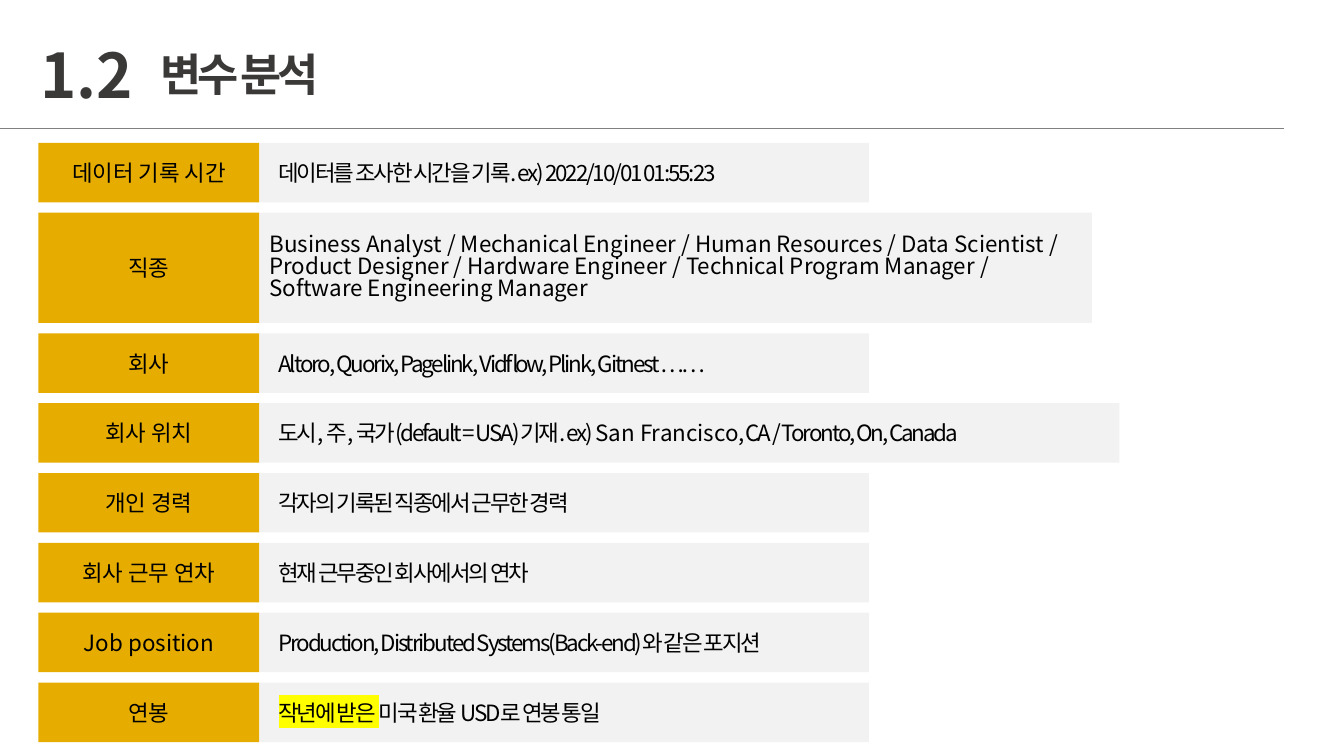
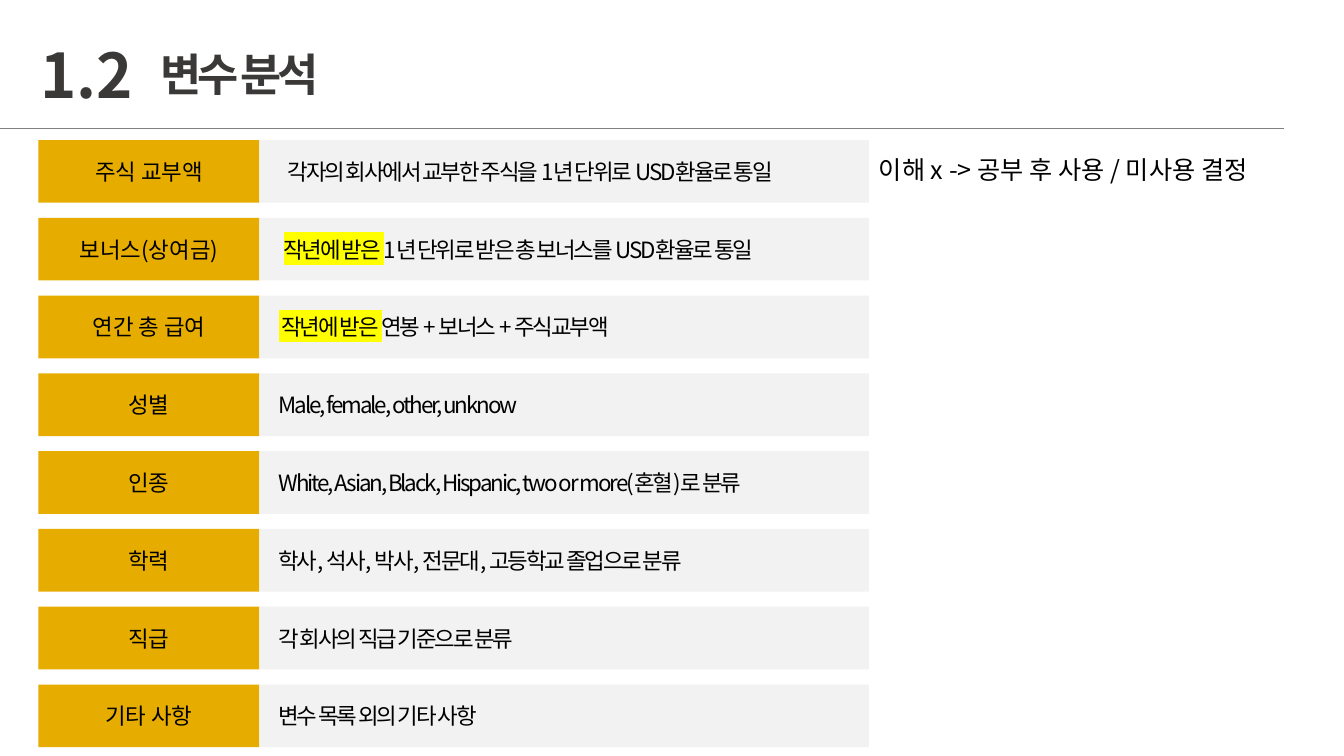
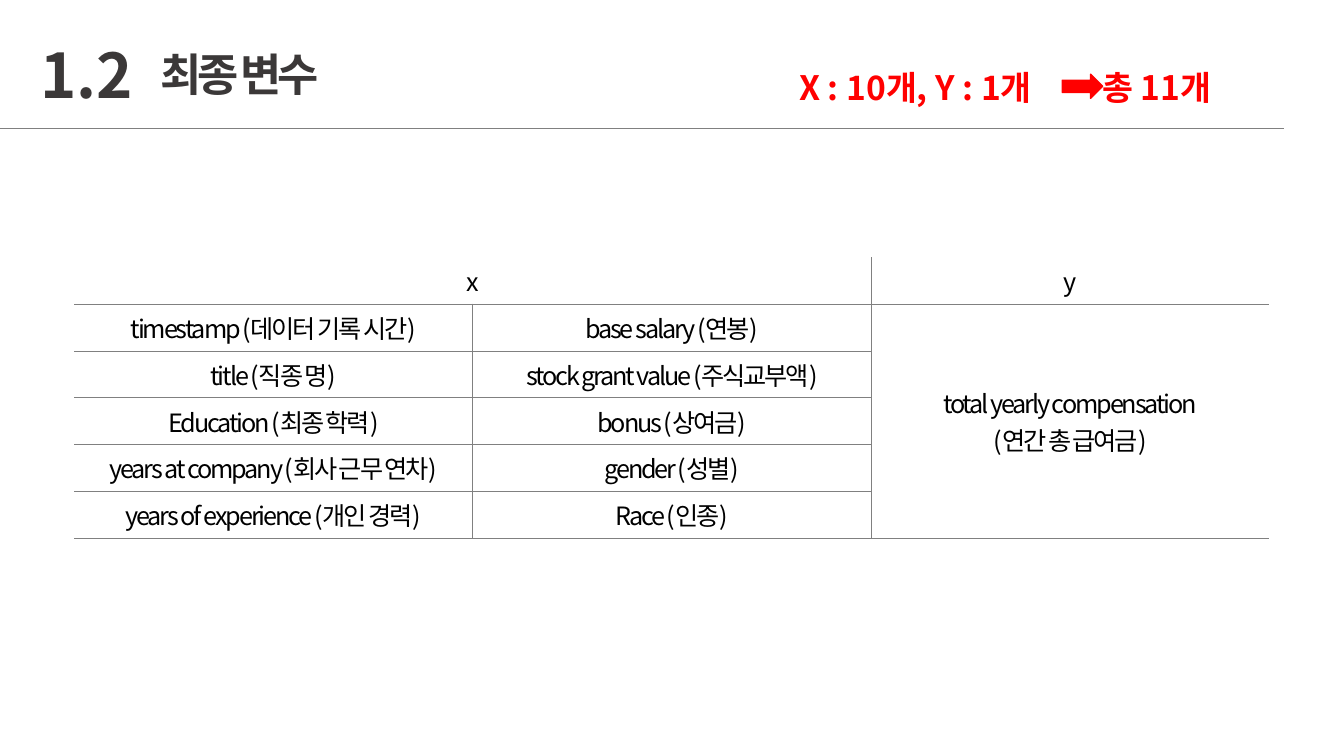
from lxml.etree import SubElement
from pptx import Presentation
from pptx.dml.color import RGBColor
from pptx.enum.shapes import MSO_CONNECTOR, MSO_SHAPE
from pptx.enum.text import MSO_ANCHOR, MSO_AUTO_SIZE, PP_ALIGN
from pptx.oxml.ns import qn
from pptx.util import Cm, Pt

FONT = "Noto Sans CJK KR"
COLORS = {
    "label": "E6AD00",
    "value": "F2F2F2",
    "text": "000000",
    "title": "3B3838",
    "rule": "808080",
    "accent": "FF0000",
    "marker": "FFFF00",
    "cell": "FFFFFF",
}
TIGHT = -1.5
LABEL_W, VALUE_W = 5.57, 15.36


def rgb(name):
    return RGBColor.from_string(COLORS[name])


# Text: each paragraph is a string or a list of (text, overrides) runs
def write(tf, *paras, size=16, color="text", bold=False, spacing=0, mark=None,
          align=PP_ALIGN.LEFT, anchor=MSO_ANCHOR.MIDDLE, line=None):
    tf.word_wrap = True
    tf.vertical_anchor = anchor
    for i, para in enumerate(paras):
        p = tf.paragraphs[0] if i == 0 else tf.add_paragraph()
        p.alignment = align
        if line:
            p.line_spacing = line
        for text, own in [(para, {})] if isinstance(para, str) else para:
            r = p.add_run()
            r.text = text
            r.font.size = Pt(size)
            r.font.bold = bold
            r.font.color.rgb = rgb(color)
            rPr = r._r.get_or_add_rPr()
            rPr.set("spc", str(int(own.get("spacing", spacing) * 100)))
            marker = own.get("mark", mark)
            if marker:
                hl = SubElement(rPr, qn("a:highlight"))
                SubElement(hl, qn("a:srgbClr"), val=COLORS[marker])
            r.font.name = FONT
            SubElement(rPr, qn("a:ea"), typeface=FONT)


def add_text(s, x, y, w, h, text, **fmt):
    tf = s.shapes.add_textbox(Cm(x), Cm(y), Cm(w), Cm(h)).text_frame
    write(tf, text, **fmt)


def add_block(s, x, y, w, h, fill, kind=MSO_SHAPE.RECTANGLE):
    sp = s.shapes.add_shape(kind, Cm(x), Cm(y), Cm(w), Cm(h))
    sp.shadow.inherit = False
    sp.fill.solid()
    sp.fill.fore_color.rgb = rgb(fill)
    sp.line.fill.background()
    return sp


# Header shared by all slides: number, title and rule
def add_header(prs, title):
    s = prs.slides.add_slide(prs.slide_layouts[5])
    sp = s.shapes.title
    sp.left, sp.top, sp.width, sp.height = Cm(3.78), Cm(1.04), Cm(16.15), Cm(1.63)
    sp.text_frame.auto_size = MSO_AUTO_SIZE.NONE
    write(sp.text_frame, title, size=32, color="title", bold=True, spacing=-3)
    add_text(s, 0.76, 0.79, 3.05, 2.13, "1.2", size=44, color="title", bold=True)
    rule = s.shapes.add_connector(MSO_CONNECTOR.STRAIGHT, 0, Cm(3.23), Cm(32.36), Cm(3.23))
    rule.line.color.rgb = rgb("rule")
    rule.line.width = Pt(0.5)
    SubElement(rule._element.spPr, qn("a:effectLst"))
    return s


# One variable: label on the left, description on the right
def add_row(s, x, y, h, label, value, width=VALUE_W, inset=0.48, **fmt):
    sp = add_block(s, x, y, LABEL_W, h, "label")
    write(sp.text_frame, label, align=PP_ALIGN.CENTER)
    sp = add_block(s, x + LABEL_W, y, width, h, "value")
    sp.text_frame.margin_left = Cm(inset)
    write(sp.text_frame, value, **{"spacing": TIGHT, **fmt})


def variable_slide(prs, rows, top, height, gap):
    s = add_header(prs, "변수 분석")
    y = top
    for label, value, opts in rows:
        opts = dict(opts)
        h = opts.pop("height", height)
        add_row(s, 0.97, y, h, label, value, **opts)
        y += h + gap
    return s


# Table cells: grey hairlines on the chosen sides only
def format_cell(cell, sides):
    tcPr = cell._tc.get_or_add_tcPr()
    for side in "LRTB":
        ln = SubElement(tcPr, qn(f"a:ln{side}"), w=str(Pt(0.5)))
        if side in sides:
            fill = SubElement(ln, qn("a:solidFill"))
            SubElement(fill, qn("a:srgbClr"), val=COLORS["rule"])
        else:
            SubElement(ln, qn("a:noFill"))
    cell.fill.solid()
    cell.fill.fore_color.rgb = rgb("cell")


def add_variable_table(s, x, y, w, row_h, pairs, target):
    n = len(pairs) + 1
    tbl = s.shapes.add_table(n, 3, Cm(x), Cm(y), Cm(w), Cm(row_h * n)).table
    tbl.first_row = tbl.horz_banding = False
    tbl.cell(0, 0).merge(tbl.cell(0, 1))
    tbl.cell(1, 2).merge(tbl.cell(n - 1, 2))
    texts = {(0, 0): ["x"], (0, 2): ["y"], (1, 2): target}
    for i, pair in enumerate(pairs, 1):
        for j, text in enumerate(pair):
            texts[i, j] = [text]
    for i in range(n):
        for j in range(3):
            cell = tbl.cell(i, j)
            inner = not cell.is_spanned
            drawn = {"L": j > 0 and inner, "R": j < 2,
                     "T": i > 0 and inner, "B": inner or i == n - 1}
            format_cell(cell, [side for side in drawn if drawn[side]])
            if (i, j) in texts:
                cell.vertical_anchor = MSO_ANCHOR.MIDDLE
                write(cell.text_frame, *texts[i, j], size=18,
                      spacing=TIGHT if i else 0, align=PP_ALIGN.CENTER)


# Count of variables: inputs, arrow, total
def add_count(s, x, y):
    fmt = dict(size=24, color="accent", bold=True)
    add_text(s, x, y, 7.4, 1.27, "X : 10개, Y : 1개", **fmt)
    arrow = add_block(s, x + 6.88, y + 0.3, 1.02, 0.61, "accent", MSO_SHAPE.RIGHT_ARROW)
    arrow.line.color.rgb = rgb("accent")
    arrow.line.width = Pt(1)
    add_text(s, x + 7.64, y, 4.5, 1.27, "총 11개", **fmt)


MARK = {"mark": "marker"}
ROWS_1 = [
    ("데이터 기록 시간", "데이터를 조사한 시간을 기록. ex) 2022/10/01 01:55:23", {}),
    ("직종", "Business Analyst / Mechanical Engineer / Human Resources / Data Scientist / "
     "Product Designer / Hardware Engineer / Technical Program Manager / "
     "Software Engineering Manager",
     {"height": 2.78, "width": 20.98, "inset": 0.25, "spacing": 0, "line": 0.82}),
    ("회사", "Altoro, Quorix, Pagelink, Vidflow, Plink, Gitnest ……", {}),
    ("회사 위치", [("도시, 주, 국가(default = USA)기재. ex) ", {}),
               ("San Francisco", {"spacing": 0}),
               (", CA / Toronto, On, Canada", {})], {"width": 21.67}),
    ("개인 경력", "각자의 기록된 직종에서 근무한 경력", {}),
    ("회사 근무 연차", "현재 근무중인 회사에서의 연차", {}),
    ("Job position", "Production, Distributed Systems(Back-end)와 같은 포지션", {}),
    ("연봉", [("작년에 받은 ", MARK), ("미국 환율 USD로 연봉 통일", {})], {}),
]
ROWS_2 = [
    ("주식 교부액", "각자의 회사에서 교부한 주식을 1년 단위로 USD환율로 통일", {"inset": 0.71}),
    ("보너스(상여금)", [(" ", {}), ("작년에 받은 ", MARK),
                  ("1년 단위로 받은 총 보너스를 USD환율로 통일", {})], {}),
    ("연간 총 급여", [(" 작년에 받은 ", MARK), ("연봉 + 보너스 + 주식교부액", {})], {}),
    ("성별", "Male, female, other, unknow", {}),
    ("인종", "White, Asian, Black, Hispanic, two or more(혼혈)로 분류", {}),
    ("학력", "학사, 석사, 박사, 전문대, 고등학교 졸업으로 분류", {}),
    ("직급", "각 회사의 직급 기준으로 분류", {}),
    ("기타 사항", "변수 목록 외의 기타 사항", {}),
]
PAIRS = [
    ("timestamp (데이터 기록 시간)", "base salary (연봉)"),
    ("title (직종 명)", "stock grant value (주식교부액)"),
    ("Education (최종 학력)", "bonus (상여금)"),
    ("years at company (회사 근무 연차)", "gender (성별)"),
    ("years of experience (개인 경력)", "Race (인종)"),
]


def main():
    prs = Presentation()
    prs.slide_width, prs.slide_height = Cm(33.87), Cm(19.05)

    variable_slide(prs, ROWS_1, top=3.6, height=1.5, gap=0.26)

    s = variable_slide(prs, ROWS_2, top=3.53, height=1.58, gap=0.38)
    add_text(s, 21.9, 3.76, 11.9, 1.02, "이해 x -> 공부 후 사용 / 미사용 결정", size=18)

    s = add_header(prs, "최종 변수")
    add_count(s, 19.89, 1.57)
    add_variable_table(s, 1.87, 6.48, 30.12, 1.18, PAIRS,
                       ["total yearly compensation", "(연간 총 급여금)"])

    prs.save("out.pptx")


if __name__ == "__main__":
    main()
